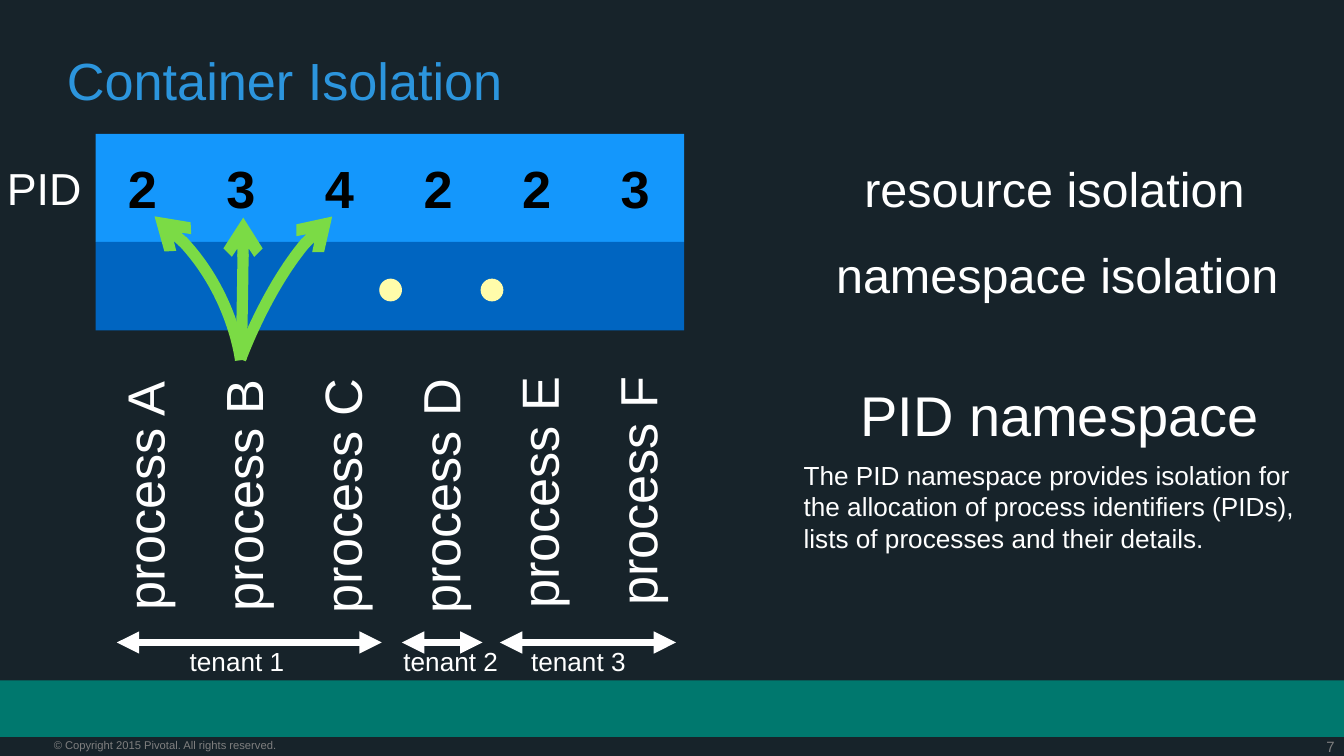
from dataclasses import dataclass

from lxml import etree
from pptx import Presentation
from pptx.dml.color import RGBColor
from pptx.enum.shapes import MSO_CONNECTOR, MSO_SHAPE
from pptx.enum.text import MSO_ANCHOR, MSO_AUTO_SIZE, PP_ALIGN
from pptx.oxml.ns import qn
from pptx.util import Pt

RECT, OVAL = MSO_SHAPE.RECTANGLE, MSO_SHAPE.OVAL
STRAIGHT = MSO_CONNECTOR.STRAIGHT
TOP, MIDDLE = MSO_ANCHOR.TOP, MSO_ANCHOR.MIDDLE
GROW, FIXED = MSO_AUTO_SIZE.SHAPE_TO_FIT_TEXT, MSO_AUTO_SIZE.NONE
LEFT, RIGHT = PP_ALIGN.LEFT, PP_ALIGN.RIGHT

FONT = "Arial"
HEX = {
    "back": "17232A", "band": "00786E", "grey": "7F7F7F",
    "light": "1497FC", "deep": "0065C1", "white": "FFFFFF",
    "black": "000000", "green": "7BDB45", "cream": "FFFCAA",
    "title": "2C95DD",
}


@dataclass
class Label:
    text: str
    x: float
    y: float
    w: float
    h: float
    size: float
    color: str = "white"
    bold: bool = False
    turn: float = 0
    wrap: bool = False
    grow: bool = True
    anchor: MSO_ANCHOR = MIDDLE
    align: PP_ALIGN = LEFT
    pad: tuple[float, float] = (1.5, 1.5)
    lead: float | None = None


@dataclass
class Block:
    kind: MSO_SHAPE
    x: float
    y: float
    w: float
    h: float
    color: str


@dataclass
class Process:
    name: str
    pid: str
    mid: float
    wide: float


@dataclass
class Tenant:
    name: str
    start: float
    end: float
    left: float


@dataclass
class Curve:
    start: tuple[float, float]
    bend: tuple[float, float]
    end: tuple[float, float]


BLOCKS = [
    Block(RECT, 0, 364.5, 720, 30.25, "band"),
    Block(RECT, 51.3, 71.7, 315.2, 58, "light"),
    Block(RECT, 51.3, 129.6, 315.2, 47.4, "deep"),
    Block(OVAL, 203.2, 149.3, 12.2, 12.2, "cream"),
    Block(OVAL, 257.5, 149.3, 12.2, 12.2, "cream"),
]
LABELS = [
    Label("7", 673.2, 395.3, 41.8, 10, 8, "grey", grow=False,
          wrap=True, anchor=TOP, align=RIGHT, pad=(0, 0)),
    Label("© Copyright 2015 Pivotal. All rights reserved.", 28.8, 395.3,
          179.3, 7.2, 6, "grey", grow=False, wrap=True, anchor=TOP, pad=(0, 0)),
    Label("Container Isolation", 28.8, 25.9, 662.4, 49, 28, "title",
          grow=False, wrap=True, anchor=TOP, pad=(7.2, 3.6), lead=0.9),
    Label("resource isolation", 463, 85, 206, 31.7, 26, pad=(0, 0)),
    Label("namespace isolation", 446.4, 129.6, 242.6, 34.6, 26),
    Label("PID", 2.2, 84.3, 43.2, 32.4, 24),
    Label("PID namespace", 459.4, 202.3, 223.9, 39.6, 30),
    Label("The PID namespace provides isolation for the allocation of "
          "process identifiers (PIDs), lists of processes and their details.",
          423.4, 242.6, 287.3, 58.3, 14, wrap=True, anchor=TOP, pad=(7.2, 3.6)),
]
PROCS = [
    Process("process A", "2", 263.9, 129.6),
    Process("process B", "3", 264.6, 128.9),
    Process("process C", "4", 265.3, 130.3),
    Process("process D", "2", 265.3, 130.3),
    Process("process E", "2", 263.2, 128.9),
    Process("process F", "3", 262.4, 127.4),
]
TENANTS = [
    Tenant("tenant 1", 62.6, 204.5, 100.1),
    Tenant("tenant 2", 215.3, 258.5, 214.6),
    Tenant("tenant 3", 267.8, 362.2, 283),
]
CURVES = [
    Curve((128.9, 193), (123.8, 146.2), (82.8, 115.9)),
    Curve((129.2, 192.5), (130.3, 148.3), (130.3, 116.6)),
    Curve((128.9, 192.5), (148.3, 139), (178, 116)),
]
FIRST, STEP = 77, 52.8
LINE = 344.2


def rgb(name: str) -> RGBColor:
    return RGBColor.from_string(HEX[name])


def block(slide, item: Block) -> None:
    shape = slide.shapes.add_shape(
        item.kind, Pt(item.x), Pt(item.y), Pt(item.w), Pt(item.h))
    shape.shadow.inherit = False
    shape.fill.solid()
    shape.fill.fore_color.rgb = rgb(item.color)
    shape.line.fill.background()


def label(slide, item: Label) -> None:
    box = slide.shapes.add_textbox(
        Pt(item.x), Pt(item.y), Pt(item.w), Pt(item.h))
    box.rotation = item.turn
    frame = box.text_frame
    frame.word_wrap = item.wrap
    frame.auto_size = GROW if item.grow else FIXED
    frame.vertical_anchor = item.anchor
    frame.margin_left = frame.margin_right = Pt(item.pad[0])
    frame.margin_top = frame.margin_bottom = Pt(item.pad[1])
    para = frame.paragraphs[0]
    para.alignment = item.align
    if item.lead:
        para.line_spacing = item.lead
    run = para.add_run()
    run.text = item.text
    run.font.name = FONT
    run.font.size = Pt(item.size)
    run.font.bold = item.bold
    run.font.color.rgb = rgb(item.color)


def stroke(shape, color: str, width: float, ends: dict[str, str]) -> None:
    shape.line.color.rgb = rgb(color)
    shape.line.width = Pt(width)
    line = shape.line._get_or_add_ln()
    for end, kind in ends.items():
        etree.SubElement(line, qn(f"a:{end}"), type=kind)


def curve(slide, item: Curve) -> None:
    start, *rest = [(Pt(x), Pt(y)) for x, y in
                    (item.start, item.start, item.bend, item.end)]
    form = slide.shapes.build_freeform(*start)
    form.add_line_segments(rest, close=False)
    shape = form.convert_to_shape()
    shape.shadow.inherit = False
    shape.fill.background()
    stroke(shape, "green", 6, {"tailEnd": "arrow"})
    legs = list(shape._element.iter(qn("a:lnTo")))
    cubic = etree.SubElement(legs[0].getparent(), qn("a:cubicBezTo"))
    for leg in legs:
        cubic.append(leg[0])
        leg.getparent().remove(leg)


def span(slide, item: Tenant) -> None:
    line = slide.shapes.add_connector(
        STRAIGHT, Pt(item.start), Pt(LINE), Pt(item.end), Pt(LINE))
    stroke(line, "white", 4, {"headEnd": "triangle", "tailEnd": "triangle"})
    etree.SubElement(line._element.spPr, qn("a:effectLst"))
    label(slide, Label(item.name, item.left, LINE, 54, 20.2, 14))


def process(slide, item: Process, x: float) -> None:
    label(slide, Label(item.name, x - item.wide / 2, item.mid - 18.4,
                       item.wide, 36.7, 28, turn=270))
    label(slide, Label(item.pid, x - 10, 82.1, 18.7, 36.7, 28, "black", True))


def main() -> None:
    deck = Presentation()
    deck.slide_width, deck.slide_height = Pt(720), Pt(405)
    slide = deck.slides.add_slide(deck.slide_layouts[6])
    slide.background.fill.solid()
    slide.background.fill.fore_color.rgb = rgb("back")
    for item in BLOCKS:
        block(slide, item)
    for item in LABELS:
        label(slide, item)
    for i, item in enumerate(PROCS):
        process(slide, item, FIRST + i * STEP)
    for item in CURVES:
        curve(slide, item)
    for item in TENANTS:
        span(slide, item)
    deck.save("out.pptx")


if __name__ == "__main__":
    main()
